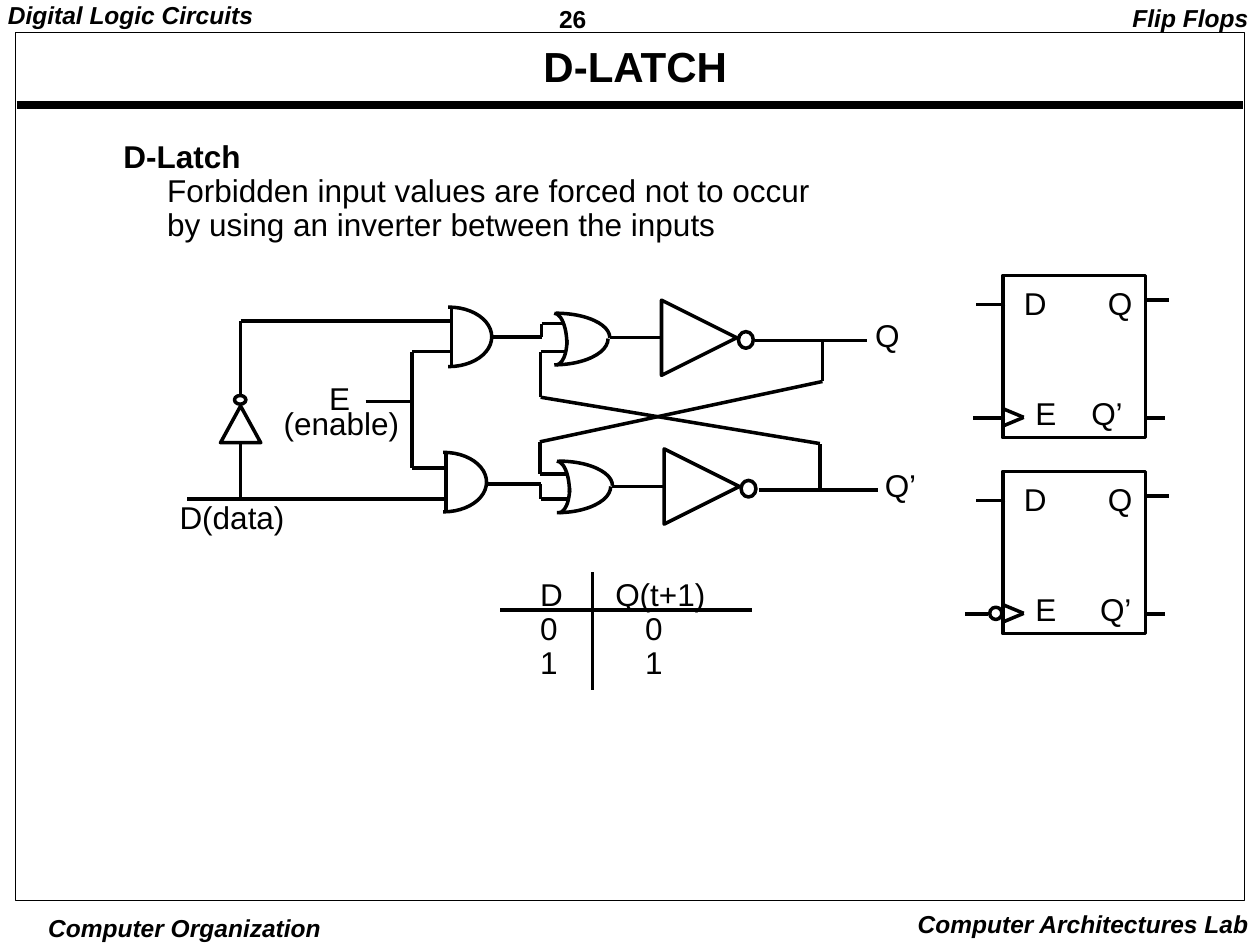
from dataclasses import dataclass

from lxml.etree import SubElement
from pptx import Presentation
from pptx.dml.color import RGBColor
from pptx.enum.shapes import MSO_CONNECTOR, MSO_SHAPE
from pptx.enum.text import PP_ALIGN
from pptx.oxml.ns import qn
from pptx.util import Pt


@dataclass(frozen=True)
class Theme:
    ink: RGBColor = RGBColor(0, 0, 0)
    paper: RGBColor = RGBColor(255, 255, 255)
    font: str = "Arial"
    title: float = 24
    body: float = 18
    small: float = 14
    wire: float = 2
    hair: float = 0.5
    rule: float = 4.5


@dataclass(frozen=True)
class Label:
    text: str
    x: float
    y: float
    w: float
    h: float = 26.5
    size: float = Theme.body
    bold: bool = False
    slant: bool = False
    align: PP_ALIGN = PP_ALIGN.LEFT
    pad: tuple[float, float] = (7.2, 3.6)
    lead: float = 0.9
    tabs: tuple[float, ...] = ()


@dataclass(frozen=True)
class Block:
    """A latch symbol; gap is the tab from E to Q’."""
    top: float
    gap: float
    bubble: bool


Points = list[tuple[float, float]]
Box = tuple[float, float, float, float]

theme = Theme()
LEFT, MID, RIGHT = PP_ALIGN.LEFT, PP_ALIGN.CENTER, PP_ALIGN.RIGHT

deck = Presentation()
deck.slide_width, deck.slide_height = Pt(720), Pt(540)
slide = deck.slides.add_slide(deck.slide_layouts[6])


def write(label: Label):
    box = slide.shapes.add_textbox(Pt(label.x), Pt(label.y), Pt(label.w), Pt(label.h))
    frame = box.text_frame
    frame.word_wrap = True
    side, top = label.pad
    frame.margin_left = Pt(0 if label.align == RIGHT else side)
    frame.margin_right = Pt(0 if label.align == LEFT else side)
    frame.margin_top = frame.margin_bottom = Pt(top)
    frame.text = label.text
    for row, para in enumerate(frame.paragraphs):
        para.alignment = label.align
        para.line_spacing = label.lead
        if label.tabs:
            stops = SubElement(para._p.get_or_add_pPr(), qn("a:tabLst"))
            stop = min(row, len(label.tabs) - 1)
            SubElement(stops, qn("a:tab"), pos=str(Pt(label.tabs[stop])), algn="l")
        for run in para.runs:
            font = run.font
            font.name, font.size = theme.font, Pt(label.size)
            font.bold, font.italic = label.bold, label.slant
            font.color.rgb = theme.ink
    return frame


def draw(kind: MSO_SHAPE, box: Box, width: float = theme.wire, turn: float = 0):
    shape = slide.shapes.add_shape(kind, *map(Pt, box))
    shape.shadow.inherit = False
    shape.fill.background()
    shape.line.color.rgb = theme.ink
    shape.line.width = Pt(width)
    shape.rotation = turn
    return shape


def wire(points: Points, width: float = theme.wire) -> None:
    """Join each point to the next with a straight line."""
    for start, end in zip(points, points[1:]):
        line = slide.shapes.add_connector(MSO_CONNECTOR.STRAIGHT, *map(Pt, start + end))
        line.line.color.rgb = theme.ink
        line.line.width = Pt(width)
        SubElement(line._element.spPr, qn("a:effectLst"))


def and_gate(x: float, y: float) -> None:
    """Half an ellipse with its flat side at x."""
    draw(MSO_SHAPE.OVAL, (x - 26, y, 49, 34))
    mask = draw(MSO_SHAPE.RECTANGLE, (x - 31, y - 6, 28, 43.5))
    mask.fill.solid()
    mask.fill.fore_color.rgb = theme.paper
    mask.line.color.rgb = theme.paper
    wire([(x, y), (x, y + 34)])


def or_gate(x: float, y: float) -> None:
    """Two quarter arcs for the nose, two for the hollow back."""
    upper, lower = (162, 0), (0, 54)
    for box, span in (
        ((0, 0, 61.5, 28), upper),
        ((-1, -0.5, 61.5, 30), lower),
        ((22.5, 0, 14.5, 36), upper),
        ((25, 1, 12, 28.5), lower),
    ):
        left, top, w, h = box
        arc = draw(MSO_SHAPE.ARC, (x + left, y + top, w, h))
        arc.adjustments[0], arc.adjustments[1] = span


def not_gate(x: float, y: float) -> None:
    draw(MSO_SHAPE.ISOSCELES_TRIANGLE, (x, y, 43, 43), turn=90)
    draw(MSO_SHAPE.OVAL, (x + 44, y + 18, 8.5, 9.5))


def latch(block: Block) -> None:
    left, right, top = 573, 654.5, block.top
    clock = top + 81.5
    draw(MSO_SHAPE.RECTANGLE, (left, top, right - left, 92.5))
    wire([(left + 1.5, top + 16.5), (557.5, top + 16.5)])
    wire([(right, top + 14), (668, top + 14)])
    wire([(right, clock), (665.5, clock)])
    wire([(left, clock - 5.5), (left + 12, clock - 0.5), (left, clock + 4.5)])
    if block.bubble:
        draw(MSO_SHAPE.OVAL, (565.5, clock - 4, 7, 7))
        wire([(564.5, clock), (551.5, clock)])
    else:
        wire([(left + 1.5, clock), (556, clock)])
    write(Label("D\tQ", 578, top + 4, 76.5, tabs=(48,)))
    write(Label("E\tQ’", 584.5, top + 66.5, 70, tabs=(block.gap,)))


SMALL = {"size": theme.small, "bold": True}
LABELS = [
    Label("26", 314.5, 0, 78, 21, pad=(5, 2), lead=1.01, **SMALL),
    Label("Digital Logic Circuits", -0.5, 0, 156, 34, slant=True, pad=(5, 2), **SMALL),
    Label("Computer Organization", 25.5, 521, 164, 19, slant=True, pad=(2, 1), lead=1, **SMALL),
    Label("Computer Architectures Lab", 517, 516, 203.5, 24, slant=True, align=RIGHT,
          lead=1, **SMALL),
    Label("Flip Flops", 640, 0, 80.5, 22, slant=True, align=RIGHT, **SMALL),
    Label("D-LATCH", 27.5, 24.5, 671, 30, theme.title, True, align=MID, pad=(5, 2)),
    Label("Q", 493, 179.5, 30),
    Label("Q’", 498.5, 265, 34),
    Label("D(data)", 95.5, 283.5, 76),
    Label("E", 181, 215.5, 27),
    Label("(enable)", 155, 230, 81),
    Label("D\tQ(t+1)\n0\t0\n1\t1", 301.5, 327.5, 109, 65.5, tabs=(43, 60)),
]

WIRES: list[Points] = [
    [(107, 285), (255, 285)],
    [(137.5, 285), (137.5, 253.5)],
    [(137.5, 226.5), (137.5, 183.5), (258, 183.5)],
    [(209, 229.5), (235, 229.5)],
    [(258, 201), (235.5, 201), (235.5, 267.5), (255, 267.5)],
    [(281.5, 192.5), (309.5, 192.5), (309.5, 185), (322, 185)],
    [(278, 276.5), (309, 276.5), (309, 285), (325, 285)],
    [(348.5, 193), (378, 193)],
    [(350, 278), (379.5, 278)],
    [(431.5, 194.5), (495.5, 194.5)],
    [(433.5, 280), (502, 280)],
    [(470, 194.5), (470, 218), (308.5, 252.5), (308.5, 271), (324, 271)],
    [(468.5, 280), (468.5, 253.5), (309, 227), (309, 201), (322.5, 201)],
    [(286, 348.5), (430, 348.5)],
    [(338.5, 327), (338.5, 394.5)],
]


def main() -> None:
    wire([(9.5, 60), (710.5, 60)], theme.rule)
    draw(MSO_SHAPE.RECTANGLE, (9, 18.5, 702, 496), theme.hair)

    for x, y in ((258, 175.5), (255, 258.5)):
        and_gate(x, y)
    for x, y in ((287, 179), (288.5, 263.5)):
        or_gate(x, y)
    for x, y in ((378, 171.5), (379.5, 256.5)):
        not_gate(x, y)
    draw(MSO_SHAPE.ISOSCELES_TRIANGLE, (126, 232, 23, 21))
    draw(MSO_SHAPE.OVAL, (134, 226, 6.5, 5))
    for points in WIRES:
        wire(points)
    for block in (Block(157.5, 32, False), Block(269.5, 37, True)):
        latch(block)

    for label in LABELS:
        write(label)
    notes = write(Label(
        "D-Latch\nForbidden input values are forced not to occur\n"
        "by using an inverter between the inputs", 63.5, 77, 407, 65.5))
    head, *lines = notes.paragraphs
    head.runs[0].font.bold = True
    for para in lines:
        para._p.get_or_add_pPr().set("marL", str(Pt(25)))

    deck.save("out.pptx")


if __name__ == "__main__":
    main()
